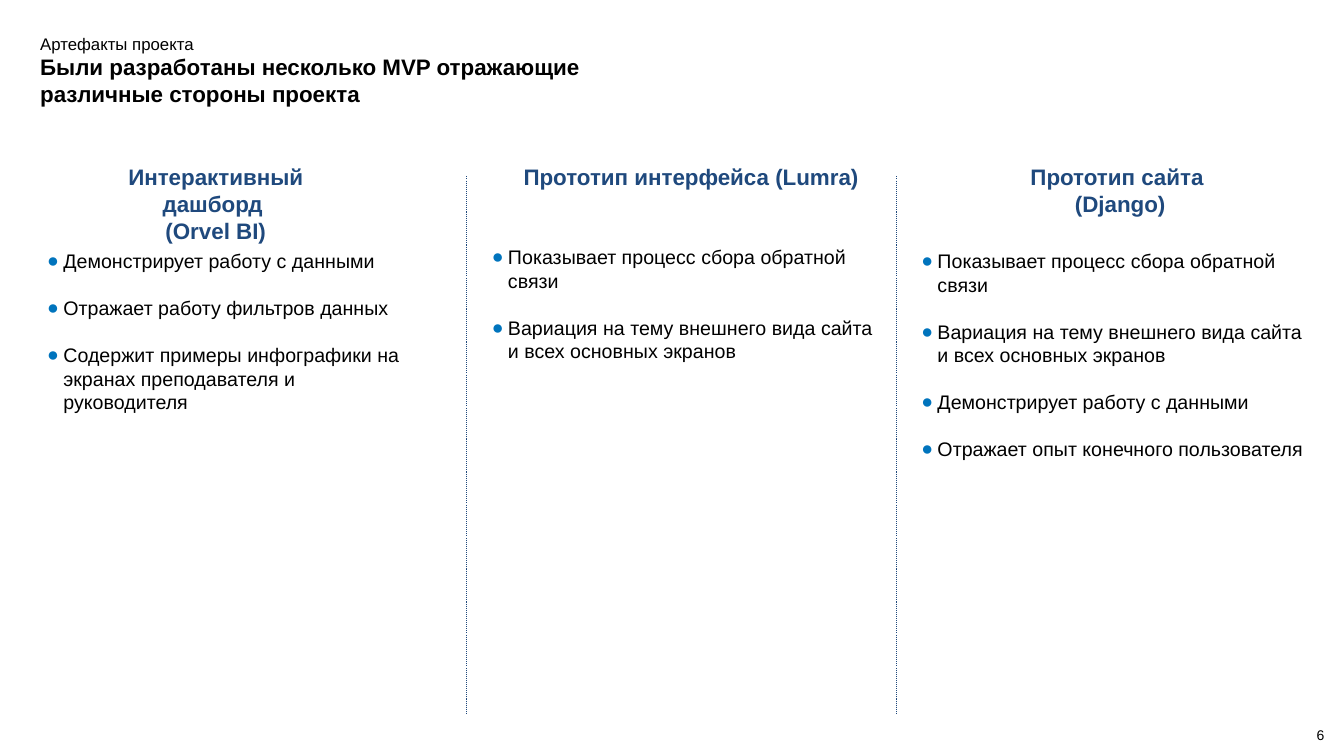
from lxml import etree
from pptx import Presentation
from pptx.dml.color import RGBColor
from pptx.enum.dml import MSO_LINE
from pptx.enum.shapes import MSO_CONNECTOR
from pptx.enum.text import MSO_ANCHOR, PP_ALIGN
from pptx.oxml.ns import qn
from pptx.util import Inches, Pt

COLORS = {"text": "000000", "heading": "1F497D", "bullet": "0074BD"}
FONT = "Arial"

COLUMNS = [
    {
        "heading": "Интерактивный дашборд \v(Orvel BI)",
        "heading_box": (0.94, 1.58, 2.4, 0.62),
        "list_box": (0.04, 2.37, 4.26, 1.85),
        "items": [
            "Демонстрирует работу с данными",
            "Отражает работу фильтров данных",
            "Содержит примеры инфографики на экранах преподавателя и руководителя",
        ],
    },
    {
        "heading": "Прототип интерфейса (Lumra)",
        "heading_box": (5.12, 1.58, 3.47, 0.62),
        "list_box": (4.45, 2.33, 4.44, 1.85),
        "items": [
            "Показывает процесс сбора обратной связи",
            "Вариация на тему внешнего вида сайта и всех основных экранов",
        ],
    },
    {
        "heading": "Прототип сайта \v(Django)",
        "heading_box": (9.52, 1.58, 3.18, 0.46),
        "list_box": (8.71, 2.37, 4.44, 2.79),
        "items": [
            "Показывает процесс сбора обратной связи",
            "Вариация на тему внешнего вида сайта и всех основных экранов",
            "Демонстрирует работу с данными",
            "Отражает опыт конечного пользователя",
        ],
    },
]


def add_text_frame(page, box, side, edge, anchor=MSO_ANCHOR.TOP):
    frame = page.shapes.add_textbox(*map(Inches, box)).text_frame
    settings = {
        "word_wrap": True,
        "vertical_anchor": anchor,
        "margin_left": Inches(side),
        "margin_right": Inches(side),
        "margin_top": Inches(edge),
        "margin_bottom": Inches(edge),
    }
    for name, value in settings.items():
        setattr(frame, name, value)
    return frame


def write(para, text, size, color="text", bold=False):
    para.text = text
    for span in para.runs:
        settings = {"name": FONT, "size": Pt(size), "bold": bold}
        for name, value in settings.items():
            setattr(span.font, name, value)
        span.font.color.rgb = RGBColor.from_string(COLORS[color])


def add_bullet(para):
    properties = para._p.get_or_add_pPr()
    properties.set("marL", str(Inches(0.49)))
    properties.set("indent", str(Inches(-0.16)))
    color = etree.SubElement(properties, qn("a:buClr"))
    etree.SubElement(color, qn("a:srgbClr"), val=COLORS["bullet"])
    etree.SubElement(properties, qn("a:buFont"), typeface=FONT)
    etree.SubElement(properties, qn("a:buChar"), char="●")


def add_title(page, box):
    frame = add_text_frame(page, box, 0.1, 0.1)
    write(frame.paragraphs[0], "Артефакты проекта", 12)
    write(
        frame.add_paragraph(),
        "Были разработаны несколько MVP отражающие различные стороны проекта",
        16,
        bold=True,
    )


def add_page_number(page, box):
    frame = add_text_frame(page, box, 0.08, 0.04, MSO_ANCHOR.MIDDLE)
    write(frame.paragraphs[0], "6", 10)


def add_heading(page, box, text):
    para = add_text_frame(page, box, 0.07, 0.04).paragraphs[0]
    para.alignment = PP_ALIGN.CENTER
    write(para, text, 16, "heading", True)


def add_list(page, box, items):
    frame = add_text_frame(page, box, 0.1, 0.1)
    for index, item in enumerate(items):
        para = frame.add_paragraph() if index else frame.paragraphs[0]
        write(para, item, 14)
        if index:
            para.space_before = Pt(16.8)
        add_bullet(para)


def add_divider(page, left, top, bottom):
    ends = map(Inches, (left, top, left, bottom))
    divider = page.shapes.add_connector(MSO_CONNECTOR.STRAIGHT, *ends)
    divider.line.color.rgb = RGBColor.from_string(COLORS["heading"])
    divider.line.width = Pt(0.75)
    divider.line.dash_style = MSO_LINE.ROUND_DOT
    etree.SubElement(divider._element.spPr, qn("a:effectLst"))


def main():
    deck = Presentation()
    deck.slide_width, deck.slide_height = Inches(13.33), Inches(7.5)
    page = deck.slides.add_slide(deck.slide_layouts[6])
    add_title(page, (0.3, 0.23, 6.28, 0.94))
    add_page_number(page, (12.98, 7.09, 0.34, 0.41))
    for column in COLUMNS:
        add_heading(page, column["heading_box"], column["heading"])
        add_list(page, column["list_box"], column["items"])
    for left in (4.63, 8.89):
        add_divider(page, left, 1.75, 7.09)
    deck.save("out.pptx")


if __name__ == "__main__":
    main()
